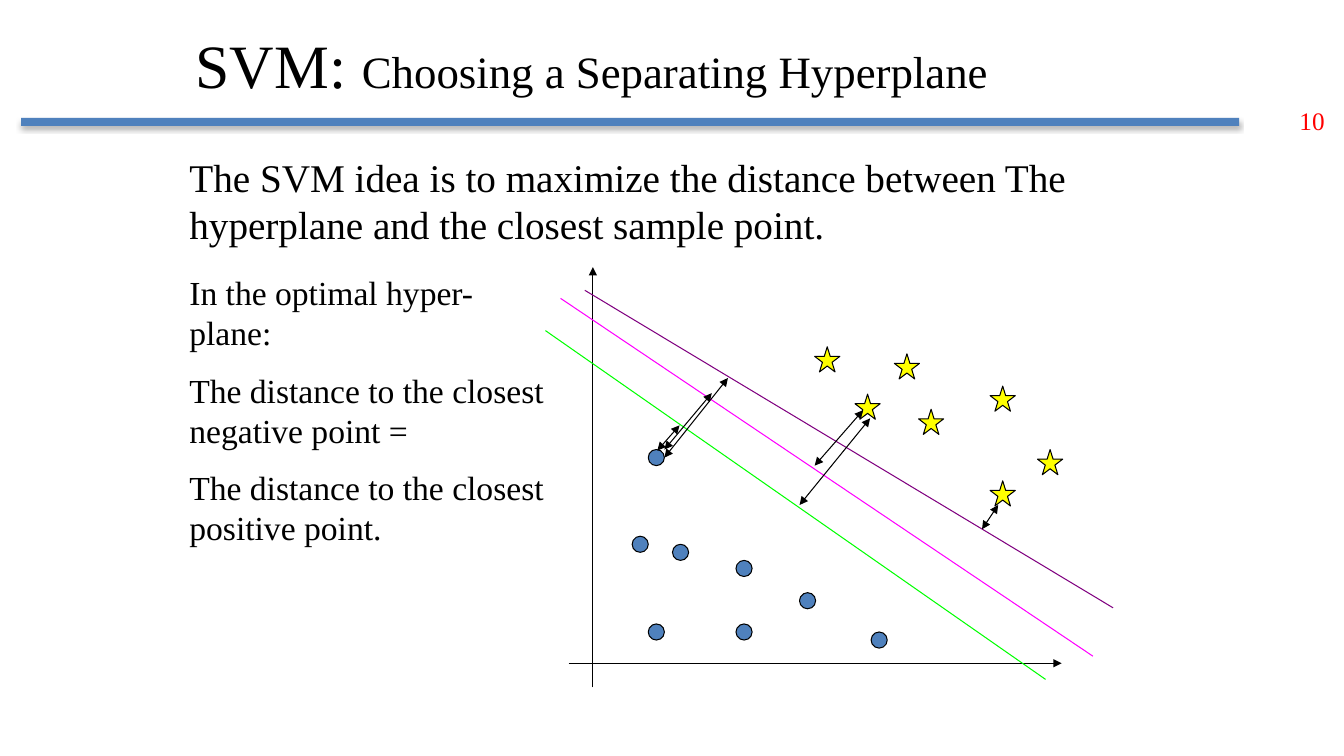
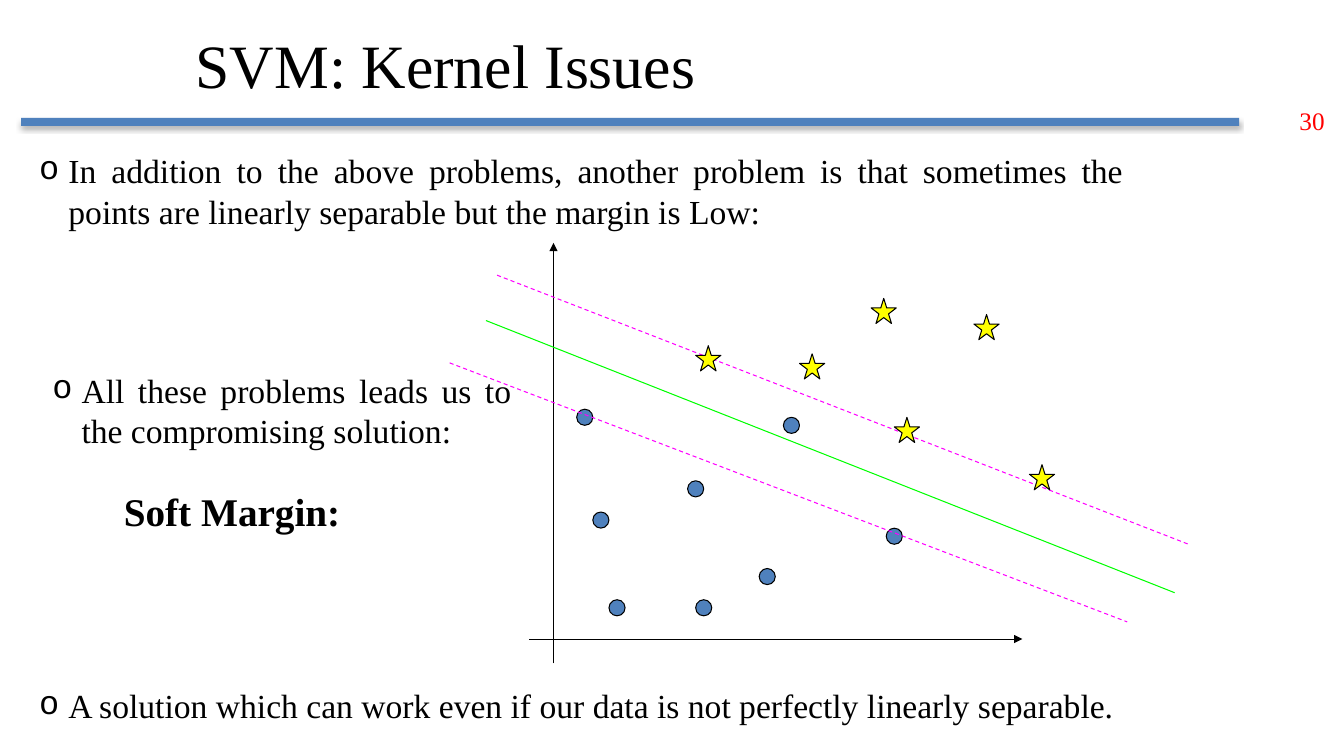
from lxml import etree
from pptx import Presentation
from pptx.dml.color import RGBColor
from pptx.enum.dml import MSO_LINE
from pptx.enum.shapes import MSO_CONNECTOR, MSO_SHAPE
from pptx.enum.text import MSO_ANCHOR, MSO_AUTO_SIZE, PP_ALIGN
from pptx.oxml.ns import qn
from pptx.util import Pt

PX = 9144  # EMU per px, 100 px to the inch
FONT = "Times New Roman"
BULLET_FONT = "Courier New"
TITLE_ONLY = 5

BLACK = RGBColor(0x00, 0x00, 0x00)
RED = RGBColor(0xFF, 0x00, 0x00)
BLUE = RGBColor(0x4F, 0x81, 0xBD)
YELLOW = RGBColor(0xFF, 0xFF, 0x00)
GREEN = RGBColor(0x00, 0xFF, 0x00)
MAGENTA = RGBColor(0xFF, 0x00, 0xFF)
PURPLE = RGBColor(0x80, 0x00, 0x80)

RECTANGLE = MSO_SHAPE.RECTANGLE
CIRCLE = MSO_SHAPE.FLOWCHART_CONNECTOR
STAR = MSO_SHAPE.STAR_5_POINT
STRAIGHT = MSO_CONNECTOR.STRAIGHT
DASH = MSO_LINE.DASH
LEFT, JUSTIFY = PP_ALIGN.LEFT, PP_ALIGN.JUSTIFY
TOP, MIDDLE = MSO_ANCHOR.TOP, MSO_ANCHOR.MIDDLE
NO_FIT, GROW = MSO_AUTO_SIZE.NONE, MSO_AUTO_SIZE.SHAPE_TO_FIT_TEXT

LINE_WIDTH = Pt(0.75)
DOT_SIZE, STAR_SIZE = 16, 25
BULLET_INDENT = 29
AXIS_OVERHANG, AXIS_RIGHT, AXIS_UP = 24, 465, 393


def px(*lengths):
    return [length * PX for length in lengths]


def set_attributes(target, values):
    for name, value in values.items():
        setattr(target, name, value)


def add_element(parent, tag, **attributes):
    return etree.SubElement(parent, qn(tag), attributes)


# Text

def add_run(paragraph, text, size, color=BLACK, bold=False):
    run = paragraph.add_run()
    run.text = text
    set_attributes(run.font, {"name": FONT, "size": Pt(size), "bold": bold})
    run.font.color.rgb = color


def add_bullet(paragraph):
    properties = paragraph._p.get_or_add_pPr()
    properties.set("marL", str(BULLET_INDENT * PX))
    properties.set("indent", str(-BULLET_INDENT * PX))
    add_element(properties, "a:buFont", typeface=BULLET_FONT)
    add_element(properties, "a:buChar", char="o")


def add_text(slide, box, texts, size, color=BLACK, bold=False, bullet=False, wrap=True):
    frame = slide.shapes.add_textbox(*px(*box)).text_frame
    set_attributes(frame, {"word_wrap": wrap, "auto_size": GROW, "vertical_anchor": TOP})
    for index, text in enumerate(texts):
        paragraph = frame.add_paragraph() if index else frame.paragraphs[0]
        if index:
            paragraph.space_before = Pt(size / 2)
        if bullet:
            add_bullet(paragraph)
        paragraph.alignment = JUSTIFY if bullet else LEFT
        add_run(paragraph, text, size, color, bold)


# Shapes and lines

def add_filled_shape(slide, kind, box, fill, outlined=True):
    shape = slide.shapes.add_shape(kind, *px(*box))
    shape.shadow.inherit = False
    shape.fill.solid()
    shape.fill.fore_color.rgb = fill
    if outlined:
        shape.line.color.rgb = BLACK
        shape.line.width = LINE_WIDTH
    else:
        shape.line.fill.background()
    return shape


def add_points(slide, kind, size, fill, positions):
    for left, top in positions:
        add_filled_shape(slide, kind, (left, top, size, size), fill)


def add_line(slide, ends, color=BLACK, dash=None, arrowheads=()):
    connector = slide.shapes.add_connector(STRAIGHT, *px(*ends))
    connector.line.color.rgb = color
    set_attributes(connector.line, {"width": LINE_WIDTH, "dash_style": dash})
    line_properties = connector.line._get_or_add_ln()
    for tag in arrowheads:
        add_element(line_properties, tag, type="triangle")
    add_element(connector._element.spPr, "a:effectLst")


def add_axes(slide, x, y):
    for ends in ((x - AXIS_OVERHANG, y, x + AXIS_RIGHT, y),
                 (x, y + AXIS_OVERHANG, x, y - AXIS_UP)):
        add_line(slide, ends, arrowheads=("a:tailEnd",))


def add_plot(slide, origin, dots, separators, stars, distances=()):
    add_axes(slide, *origin)
    add_points(slide, CIRCLE, DOT_SIZE, BLUE, dots)
    for ends, color, dash in separators:
        add_line(slide, ends, color, dash)
    add_points(slide, STAR, STAR_SIZE, YELLOW, stars)
    for ends in distances:
        add_line(slide, ends, arrowheads=("a:headEnd", "a:tailEnd"))


# Shared slide frame

def add_band(slide):
    band = add_filled_shape(slide, RECTANGLE, (21, 117, 1208, 8), BLUE, outlined=False)
    effects = band._element.spPr.find(qn("a:effectLst"))
    shadow = add_element(effects, "a:outerShdw", blurRad=str(Pt(3.5)), dist=str(Pt(2.2)),
                         dir="5400000", algn="t", rotWithShape="0")
    color = add_element(shadow, "a:srgbClr", val=str(BLACK))
    add_element(color, "a:alpha", val="32000")


def add_title(slide, runs):
    title = slide.shapes.title
    left, top, width, height = px(184, 16, 858, 94)
    set_attributes(title, {"left": left, "top": top, "width": width, "height": height})
    frame = title.text_frame
    set_attributes(frame, {"word_wrap": True, "auto_size": NO_FIT, "vertical_anchor": MIDDLE})
    paragraph = frame.paragraphs[0]
    paragraph.alignment = LEFT
    for text, size in runs:
        add_run(paragraph, text, size)


def add_slide(presentation, number, title_runs):
    slide = presentation.slides.add_slide(presentation.slide_layouts[TITLE_ONLY])
    add_band(slide)
    add_text(slide, (1279, 100, 50, 40), [number], 18, RED, wrap=False)
    add_title(slide, title_runs)
    return slide


# Slides

def build_hyperplane_slide(presentation):
    slide = add_slide(presentation, "10",
                      [("SVM: ", 44), ("Choosing a Separating Hyperplane", 32)])
    add_plot(
        slide,
        origin=(588, 658),
        dots=[(627, 532), (667, 540), (643, 619), (730, 556),
              (730, 619), (643, 446), (864, 627), (793, 588)],
        separators=[((541, 328, 1037, 674), GREEN, None),
                    ((580, 288, 1104, 603), PURPLE, None),
                    ((556, 296, 1084, 651), MAGENTA, None)],
        stars=[(911, 406), (848, 391), (982, 383), (982, 477),
               (1029, 446), (887, 351), (808, 344)],
        distances=[(652, 447, 674, 422), (793, 501, 863, 415), (659, 454, 722, 375),
                   (974, 525, 990, 501), (659, 446, 706, 390), (808, 462, 856, 407)],
    )
    add_text(slide, (178, 147, 921, 103),
             ["The SVM idea is to maximize the distance between The hyperplane "
              "and the closest sample point."], 28)
    add_text(slide, (178, 265, 386, 353),
             ["In the optimal hyper- plane:",
              "The distance to the closest negative point =",
              "The distance to the closest positive point."], 24)


def build_kernel_slide(presentation):
    slide = add_slide(presentation, "30", [("SVM: Kernel Issues", 44)])
    add_plot(
        slide,
        origin=(549, 634),
        dots=[(588, 508), (682, 477), (604, 595), (777, 414),
              (690, 595), (572, 406), (879, 524), (753, 564)],
        separators=[((446, 360, 1118, 617), MAGENTA, DASH),
                    ((482, 318, 1165, 588), GREEN, None),
                    ((493, 273, 1179, 540), MAGENTA, DASH)],
        stars=[(690, 343), (966, 312), (864, 296), (793, 351), (887, 414), (1021, 461)],
    )
    bullets = [
        ((29, 144, 1095, 91),
         "In addition to the above problems, another problem is that sometimes the "
         "points are linearly separable but the margin is Low:"),
        ((42, 362, 475, 170), "All these problems leads us to the compromising solution:"),
        ((29, 675, 1213, 50),
         "A solution which can work even if our data is not perfectly linearly separable."),
    ]
    for box, text in bullets:
        add_text(slide, box, [text], 24, bullet=True)
    add_text(slide, (113, 479, 268, 57), ["Soft Margin:"], 28, bold=True)


def main():
    presentation = Presentation()
    width, height = px(1333, 750)
    set_attributes(presentation, {"slide_width": width, "slide_height": height})
    build_hyperplane_slide(presentation)
    build_kernel_slide(presentation)
    presentation.save("out.pptx")


if __name__ == "__main__":
    main()
